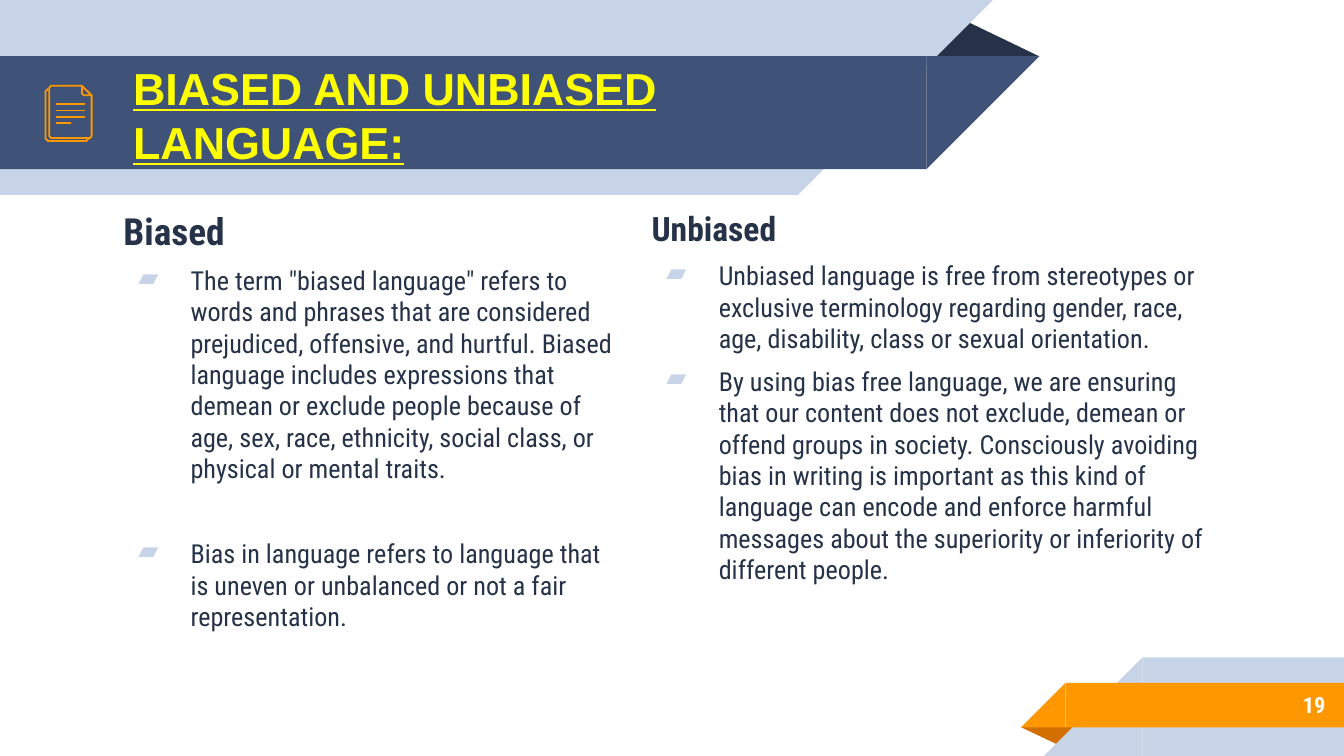
import pptx
import pptx.util
import pptx.dml.color
import pptx.enum.shapes
import pptx.enum.text
import pptx.oxml.ns
from lxml import etree

Pt = pptx.util.Pt
SHAPE = pptx.enum.shapes.MSO_SHAPE
ANCHOR = pptx.enum.text.MSO_ANCHOR
ALIGN = pptx.enum.text.PP_ALIGN

COLOURS = {
    "pale": "C7D3E6", "band": "3F5378", "ink": "263248", "orange": "FF9800",
    "rust": "D26F00", "yellow": "FFFF00", "white": "FFFFFF",
}
BODY_FONT = "Roboto Condensed"
TITLE = "BIASED AND UNBIASED LANGUAGE:"
PAGE_NUMBER = "19"

# Each bullet: space before it, text
COLUMNS = [
    {"box": (59, 104.4, 277.2, 276.5), "heading": "Biased", "size": 20, "bullets": [
        (6, 'The term "biased language" refers to words and phrases that are considered '
            "prejudiced, offensive, and hurtful. Biased language includes expressions that "
            "demean or exclude people because of age, sex, race, ethnicity, social class, "
            "or physical or mental traits."),
        (28.8, "Bias in language refers to language that is uneven or unbalanced or not a "
               "fair representation."),
    ]},
    {"box": (342, 104.4, 314.6, 227.5), "heading": "Unbiased", "size": 18, "bullets": [
        (6, "Unbiased language is free from stereotypes or exclusive terminology regarding "
            "gender, race, age, disability, class or sexual orientation."),
        (6, "By using bias free language, we are ensuring that our content does not exclude, "
            "demean or offend groups in society. Consciously avoiding bias in writing is "
            "important as this kind of language can encode and enforce harmful messages "
            "about the superiority or inferiority of different people."),
    ]},
]

# Slanted bands: x where the slant meets the bar, top, height, colour
HEADER_BANDS = [(427.5, 0, 104.4, "pale"), (496.3, 30.1, 60.5, "band")]
FOOTER_BANDS = [(612, 352.2, 52.8, "pale"), (570.8, 365.9, 23.8, "orange")]

# Document icon
BACK_PAGE = [(47.4, 74.3), (46.2, 75.6), (25.8, 75.6), (24.4, 74.3), (24.4, 49), (25.8, 47.6)]
FRONT_PAGE = [(49.1, 51.1), (49.1, 72.9), (48.2, 74), (27.4, 74), (26.4, 72.9), (26.4, 47),
              (27.4, 46), (43.9, 46)]
FOLD = [(43.9, 46), (49.1, 51.1), (45.1, 51.1), (43.9, 50.2)]
ICON_LINE_ENDS = [45.4, 45.4, 45.4, 38.2]


def colour(name):
    return pptx.dml.color.RGBColor.from_string(COLOURS[name])


def add_filled(page, kind, box, fill, rotation=0):
    shape = page.shapes.add_shape(kind, *map(Pt, box))
    shape.shadow.inherit = False
    shape.fill.solid()
    shape.fill.fore_color.rgb = colour(fill)
    shape.line.fill.background()
    shape.rotation = rotation
    return shape


def add_fold(page, box, fill, rotation=0):
    add_filled(page, SHAPE.ISOSCELES_TRIANGLE, box, fill, rotation).adjustments[0] = 0.32


def add_header(page):
    add_fold(page, (495.4, 10.1, 61.4, 20.1), "ink")
    for slant, top, height, fill in HEADER_BANDS:
        add_filled(page, SHAPE.RECTANGLE, (0, top, slant, height), fill)
        add_filled(page, SHAPE.RIGHT_TRIANGLE, (slant, top, height, height), fill, 90)


def add_footer(page):
    add_fold(page, (547, 389.6, 31, 10), "rust", 180)
    for slant, top, height, fill in FOOTER_BANDS:
        add_filled(page, SHAPE.RECTANGLE, (slant, top, 720 - slant, height), fill)
        add_filled(page, SHAPE.RIGHT_TRIANGLE, (slant - height, top, height, height), fill, 270)


def set_frame(frame, anchor):
    frame.word_wrap = True
    frame.auto_size = pptx.enum.text.MSO_AUTO_SIZE.NONE
    frame.vertical_anchor = anchor
    frame.margin_left = frame.margin_right = Pt(7.2)
    frame.margin_top = frame.margin_bottom = Pt(7.2)


def write(para, text, size, fill, bold=False, name=BODY_FONT):
    para.text = text
    font = para.font
    font.name, font.size, font.bold = name, Pt(size), bold
    font.color.rgb = colour(fill)


def add_bullet(para):
    properties = para._p.get_or_add_pPr()
    properties.set("marL", str(Pt(36)))
    properties.set("indent", str(-Pt(28)))
    bullet_colour = etree.SubElement(properties, pptx.oxml.ns.qn("a:buClr"))
    etree.SubElement(bullet_colour, pptx.oxml.ns.qn("a:srgbClr"), val=COLOURS["pale"])
    etree.SubElement(properties, pptx.oxml.ns.qn("a:buChar"), char="▰")


def add_title(page):
    title = page.shapes.title
    title.left, title.top, title.width, title.height = map(Pt, (64.1, 31, 414, 60.5))
    set_frame(title.text_frame, ANCHOR.MIDDLE)
    para = title.text_frame.paragraphs[0]
    write(para, TITLE, 24, "yellow", True, "Arial")
    para.alignment = ALIGN.LEFT
    para.font.underline = True


def add_column(page, column):
    frame = page.shapes.add_textbox(*map(Pt, column["box"])).text_frame
    set_frame(frame, ANCHOR.TOP)
    write(frame.paragraphs[0], column["heading"], column["size"], "ink", True)
    for gap, text in column["bullets"]:
        para = frame.add_paragraph()
        add_bullet(para)
        para.space_before = Pt(gap)
        write(para, text, 14, "ink")


def add_page_number(page):
    frame = page.shapes.add_textbox(*map(Pt, (599.8, 365, 117.4, 25.2))).text_frame
    set_frame(frame, ANCHOR.MIDDLE)
    write(frame.paragraphs[0], PAGE_NUMBER, 12, "white", True)
    frame.paragraphs[0].alignment = ALIGN.RIGHT


def set_icon_line(shape):
    shape.line.color.rgb = colour("orange")
    shape.line.width = Pt(0.96)


def add_icon(page):
    for points, closed in [(BACK_PAGE, False), (FRONT_PAGE, False), (FOLD, True)]:
        # Builder units are hundredths of a point
        corners = [(x * 100, y * 100) for x, y in points]
        builder = page.shapes.build_freeform(*corners[0], scale=Pt(1) / 100)
        builder.add_line_segments(corners[1:], close=closed)
        outline = builder.convert_to_shape()
        outline.shadow.inherit = False
        outline.fill.background()
        set_icon_line(outline)
    for row, end in enumerate(ICON_LINE_ENDS):
        y = Pt(55.9 + 3.3 * row)
        line = page.shapes.add_connector(
            pptx.enum.shapes.MSO_CONNECTOR.STRAIGHT, Pt(30.2), y, Pt(end), y)
        set_icon_line(line)
        etree.SubElement(line._element.spPr, pptx.oxml.ns.qn("a:effectLst"))


def main():
    deck = pptx.Presentation()
    deck.slide_width, deck.slide_height = Pt(720), Pt(405)
    page = deck.slides.add_slide(deck.slide_layouts[5])
    add_header(page)
    add_footer(page)
    # Keep the title in front of the bands
    page.shapes._spTree.append(page.shapes.title._element)
    add_title(page)
    for column in COLUMNS:
        add_column(page, column)
    add_page_number(page)
    add_icon(page)
    deck.save("out.pptx")


if __name__ == "__main__":
    main()
